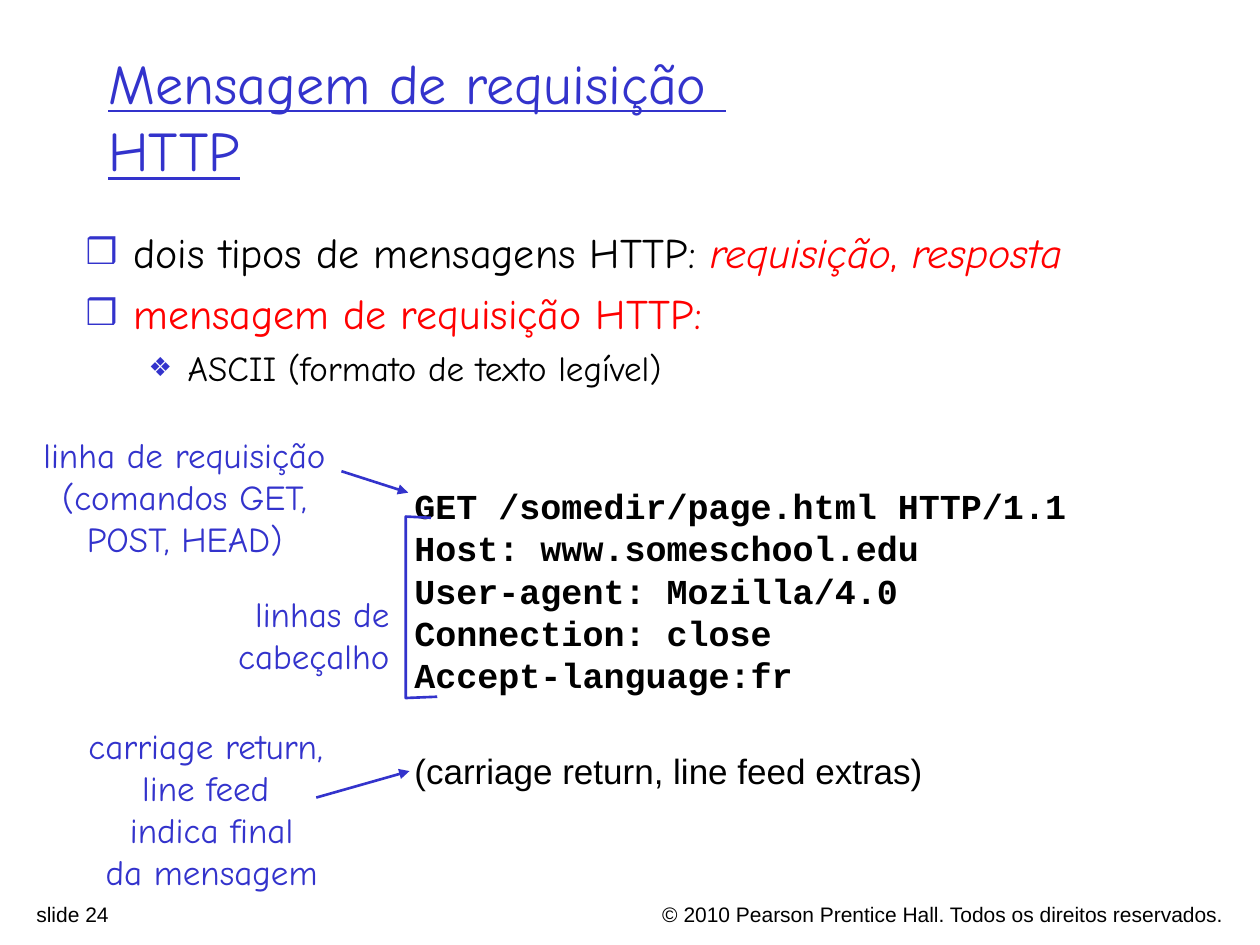
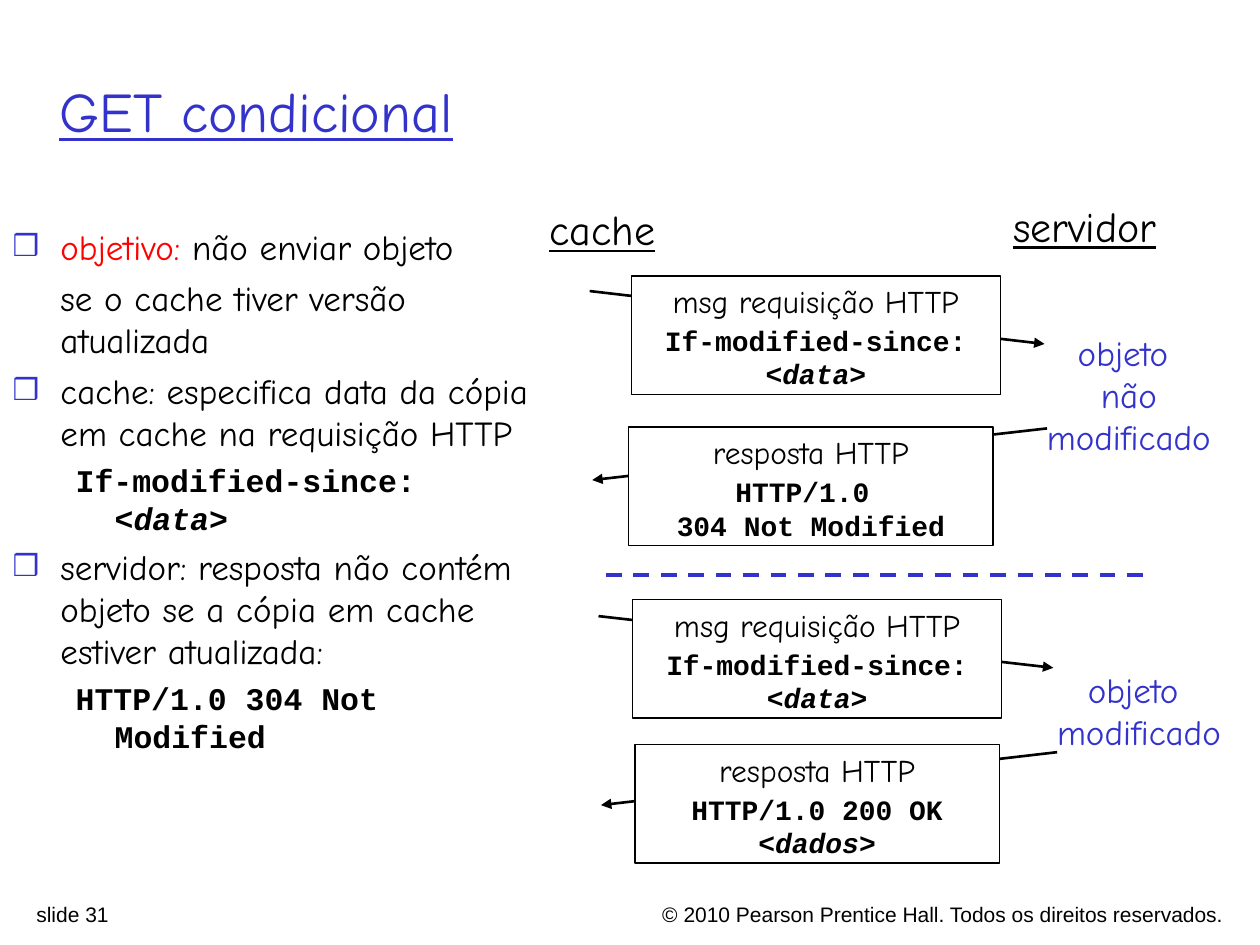
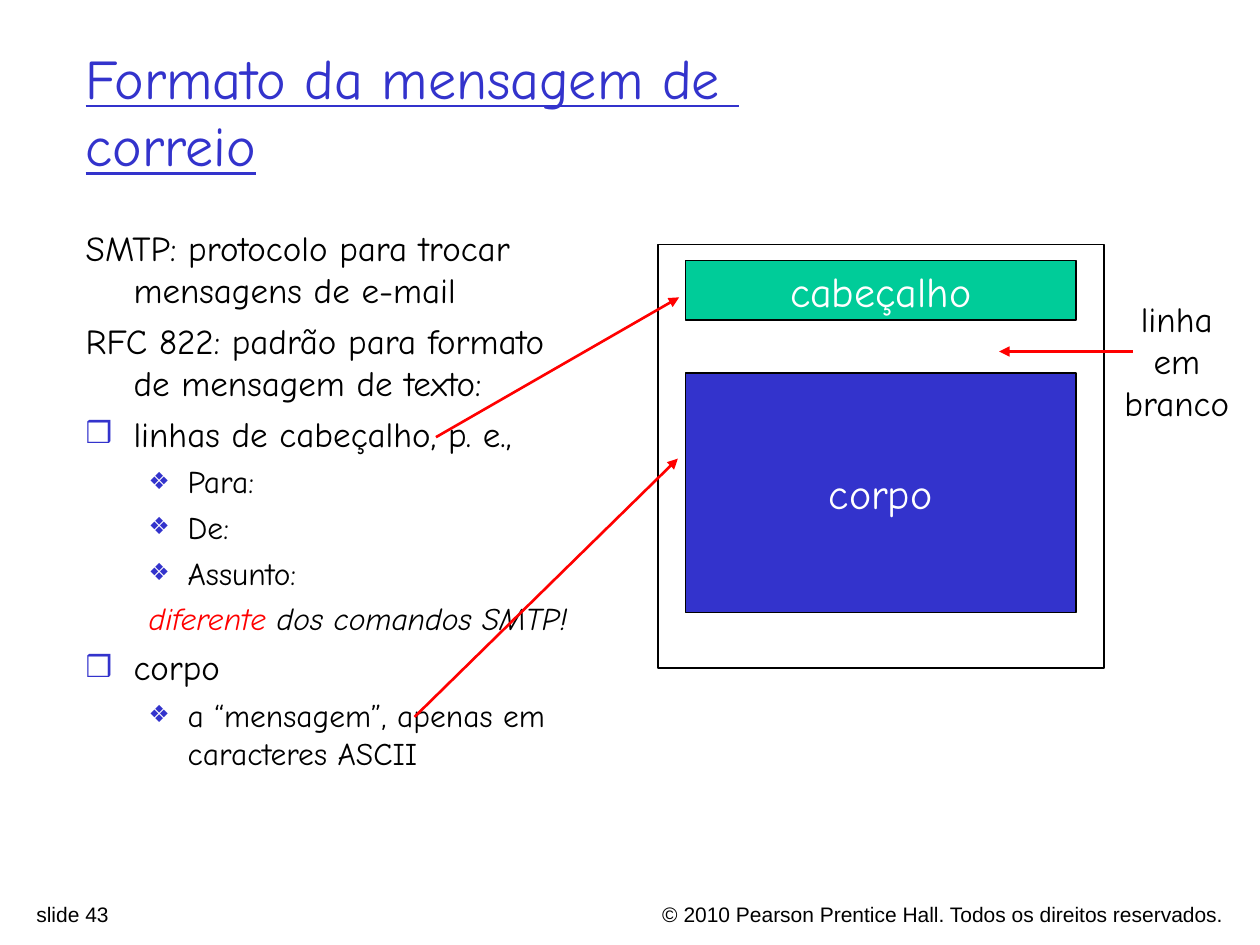
from dataclasses import dataclass
from typing import NamedTuple, Optional

from lxml import etree
from pptx import Presentation
from pptx import util as u
from pptx.dml.color import RGBColor
from pptx.enum import dml, shapes, text
from pptx.oxml import ns

# Shared look: 100 px to the inch
PX = 9144
COLORS = {
    "black": "000000",
    "white": "FFFFFF",
    "blue": "3333CC",
    "red": "FF0000",
    "green": "00CC99",
}
HAND, CODE, PLAIN = "Comic Neue", "Courier New", "Arial"
COPYRIGHT = "© 2010 Pearson Prentice Hall. Todos os direitos reservados."
LEFT, CENTER, RIGHT = text.PP_ALIGN.LEFT, text.PP_ALIGN.CENTER, text.PP_ALIGN.RIGHT


class Span(NamedTuple):
    words: str
    color: Optional[str] = None
    italic: bool = False


class Kind(NamedTuple):
    """Indent and bullet of a body paragraph."""
    level: int
    left: int
    first: int
    bullet: str = ""
    percent: int = 100


ITEM = Kind(0, 38, -38, "❒", 85)
HANGING = Kind(0, 38, -38)
FOLLOWING = Kind(0, 38, 0)
SUBITEM = Kind(1, 81, -31, "❖", 75)
SUBLINE = Kind(1, 81, -31)


@dataclass
class Para:
    spans: list
    size: int = 20
    face: str = HAND
    kind: Optional[Kind] = None
    before: float = 0


class Box(NamedTuple):
    left: int
    top: int
    width: int
    height: int

    def emu(self) -> list:
        return [side * PX for side in self]


class Label(NamedTuple):
    box: Box
    lines: list
    color: str = "blue"
    align: int = CENTER
    size: int = 20
    underline: bool = False


class Arrow(NamedTuple):
    start: tuple
    end: tuple
    color: str


class Panel(NamedTuple):
    box: Box
    paras: list
    fill: Optional[str] = "white"
    color: str = "black"
    anchor: int = text.MSO_ANCHOR.TOP
    weight: float = 0.75


def rgb(name: str) -> RGBColor:
    return RGBColor.from_string(COLORS[name])


# Text
def add_bullet(para, kind: Kind) -> None:
    props = para._p.get_or_add_pPr()
    props.set("marL", str(kind.left * PX))
    props.set("indent", str(kind.first * PX))
    if not kind.bullet:
        etree.SubElement(props, ns.qn("a:buNone"))
        return
    color = etree.SubElement(props, ns.qn("a:buClr"))
    etree.SubElement(color, ns.qn("a:srgbClr")).set("val", COLORS["blue"])
    size = etree.SubElement(props, ns.qn("a:buSzPct"))
    size.set("val", str(kind.percent * 1000))
    etree.SubElement(props, ns.qn("a:buChar")).set("char", kind.bullet)


def write(frame, paras: list, color: str, align: int = LEFT,
          underline: bool = False) -> None:
    for number, source in enumerate(paras):
        para = frame.paragraphs[0] if number == 0 else frame.add_paragraph()
        before = source.before
        if source.kind:
            para.level = source.kind.level
            add_bullet(para, source.kind)
            before = source.size / 4
        para.alignment = align
        para.space_before = u.Pt(before if number else 0)
        if source.face == CODE:
            para.line_spacing = u.Pt(source.size * 1.2)
        for span in source.spans:
            for row, words in enumerate(span.words.split("\n")):
                if row:
                    para.add_line_break()
                run = para.add_run()
                run.text = words
                font = run.font
                font.name, font.size = source.face, u.Pt(source.size)
                font.bold = source.face == CODE
                font.italic, font.underline = span.italic, underline
                font.color.rgb = rgb(span.color or color)


def fit(frame, wrap: bool, anchor: int = text.MSO_ANCHOR.TOP) -> None:
    frame.auto_size = text.MSO_AUTO_SIZE.NONE
    frame.word_wrap = wrap
    frame.vertical_anchor = anchor


def place(holder, box: Box) -> None:
    holder.left, holder.top, holder.width, holder.height = box.emu()


def plain(words: str, size: int = 20, face: str = HAND,
          kind: Optional[Kind] = None, before: float = 0) -> Para:
    return Para([Span(words)], size, face, kind, before)


# Parts of a page
def add_label(page, label: Label) -> None:
    frame = page.shapes.add_textbox(*label.box.emu()).text_frame
    fit(frame, wrap=False)
    paras = [plain(line, label.size) for line in label.lines]
    write(frame, paras, label.color, label.align, label.underline)


def add_panel(page, panel: Panel) -> None:
    shape = page.shapes.add_shape(shapes.MSO_SHAPE.RECTANGLE, *panel.box.emu())
    shape.shadow.inherit = False
    if panel.fill:
        shape.fill.solid()
        shape.fill.fore_color.rgb = rgb(panel.fill)
    else:
        shape.fill.background()
    shape.line.color.rgb = rgb("black")
    shape.line.width = u.Pt(panel.weight)
    fit(shape.text_frame, wrap=True, anchor=panel.anchor)
    write(shape.text_frame, panel.paras, panel.color, CENTER)


def add_line(page, start: tuple, end: tuple, color: str, weight: float = 1.5):
    line = page.shapes.add_connector(
        shapes.MSO_CONNECTOR.STRAIGHT, *(value * PX for value in start + end))
    line.line.color.rgb = rgb(color)
    line.line.width = u.Pt(weight)
    etree.SubElement(line._element.spPr, ns.qn("a:effectLst"))
    return line


def add_arrow(page, arrow: Arrow) -> None:
    line = add_line(page, *arrow)
    head = etree.SubElement(line.line._get_or_add_ln(), ns.qn("a:tailEnd"))
    head.set("type", "triangle")


def add_footer(page, box: Box, words: str, align: int) -> None:
    frame = page.shapes.add_textbox(*box.emu()).text_frame
    fit(frame, wrap=True)
    write(frame, [plain(words, 12, PLAIN)], "black", align)


def add_page(deck, number: int, title: str, title_box: Box,
             body: list, body_box: Box):
    page = deck.slides.add_slide(deck.slide_layouts[1])
    add_footer(page, Box(470, 711, 511, 24), COPYRIGHT, RIGHT)
    add_footer(page, Box(19, 711, 352, 24), f"slide {number}", LEFT)
    heading, content = page.shapes.title, page.placeholders[1]
    place(heading, title_box)
    fit(heading.text_frame, wrap=True, anchor=text.MSO_ANCHOR.MIDDLE)
    write(heading.text_frame, [plain(title, 32)], "blue", underline=True)
    place(content, body_box)
    fit(content.text_frame, wrap=True)
    write(content.text_frame, body, "black")
    return page


# HTTP request message
def request_page(deck) -> None:
    body = [
        Para([Span("dois tipos de mensagens HTTP: "),
              Span("requisição", "red", True), Span(", ", "red"),
              Span("resposta", "red", True)], 24, kind=ITEM),
        Para([Span("mensagem de requisição HTTP:", "red")], 24, kind=ITEM),
        plain("ASCII (formato de texto legível)", kind=SUBITEM),
    ]
    page = add_page(deck, 24, "Mensagem de requisição \nHTTP",
                    Box(76, 29, 850, 125), body, Box(58, 175, 907, 145))

    message = ["GET /somedir/page.html HTTP/1.1", "Host: www.someschool.edu",
               "User-agent: Mozilla/4.0", "Connection: close",
               "Accept-language:fr"]
    paras = [plain(line, face=CODE) for line in message]
    paras.append(plain("(carriage return, line feed extras)",
                       face=PLAIN, before=31))
    frame = page.shapes.add_textbox(*Box(319, 380, 538, 254).emu()).text_frame
    fit(frame, wrap=False)
    write(frame, paras, "black")

    for label in (
        Label(Box(24, 339, 245, 110),
              ["linha de requisição", "(comandos GET,\nPOST, HEAD)"]),
        Label(Box(179, 465, 140, 77), ["linhas de", "cabeçalho"], align=RIGHT),
        Label(Box(60, 570, 216, 144),
              ["carriage return, ", "line feed ", "indica final\nda mensagem"]),
    ):
        add_label(page, label)
    add_arrow(page, Arrow((271, 374), (324, 391), "blue"))
    add_arrow(page, Arrow((251, 633), (325, 612), "blue"))

    # Bracket around the header lines
    outline = page.shapes.build_freeform(342, 411, scale=PX)
    outline.add_line_segments([(322, 410), (322, 554), (347, 553)], close=False)
    bracket = outline.convert_to_shape()
    bracket.shadow.inherit = False
    bracket.fill.background()
    bracket.line.color.rgb = rgb("blue")
    bracket.line.width = u.Pt(1.5)


# Conditional GET
def conditional_page(deck) -> None:
    since = [Span("If-modified-since: <"), Span("data", italic=True), Span(">")]
    body = [
        Para([Span("objetivo:", "red"), Span(" não enviar objeto")], kind=ITEM),
        plain("se o cache tiver versão atualizada", kind=FOLLOWING),
        plain("cache: especifica data da cópia em cache na requisição HTTP",
              kind=ITEM),
        Para(since, 18, CODE, SUBLINE),
        plain("servidor: resposta não contém objeto se a cópia em cache "
              "estiver atualizada:", kind=ITEM),
        plain("HTTP/1.0 304 Not Modified", 18, CODE, SUBLINE),
    ]
    page = add_page(deck, 31, "GET condicional", Box(37, 25, 871, 125),
                    body, Box(0, 174, 442, 471))

    request = [plain("msg requisição HTTP", 18),
               Para(since, 16, CODE, before=2)]
    unchanged = [plain("resposta HTTP", 18),
                 plain("HTTP/1.0 ", 16, CODE, before=2),
                 plain("304 Not Modified", 16, CODE)]
    changed = [plain("resposta HTTP", 18),
               plain("HTTP/1.0 200 OK", 16, CODE, before=2),
               Para([Span("<"), Span("dados", italic=True), Span(">")],
                    16, CODE)]
    exchanges = [
        (Arrow((468, 231), (829, 273), "black"),
         Panel(Box(501, 219, 293, 94), request)),
        (Arrow((831, 340), (470, 381), "black"),
         Panel(Box(499, 339, 289, 94), unchanged)),
        (Arrow((475, 489), (836, 530), "black"),
         Panel(Box(502, 476, 293, 94), request)),
        (Arrow((839, 597), (477, 639), "black"),
         Panel(Box(504, 591, 289, 94), changed)),
    ]
    for arrow, panel in exchanges:
        add_arrow(page, arrow)
        add_panel(page, panel)

    divider = add_line(page, (481, 456), (908, 456), "blue", 2.25)
    divider.line.dash_style = dml.MSO_LINE.DASH
    for label in (
        Label(Box(426, 157, 104, 50), ["cache"], "black", CENTER, 24, True),
        Label(Box(794, 154, 134, 50), ["servidor"], "black", CENTER, 24, True),
        Label(Box(821, 258, 150, 110), ["objeto ", "não", "modificado"]),
        Label(Box(829, 526, 150, 77), ["objeto ", "modificado"]),
    ):
        add_label(page, label)


# Mail message format
def mail_page(deck) -> None:
    body = [
        plain("SMTP: protocolo para trocar mensagens de e-mail", kind=HANGING),
        plain("RFC 822: padrão para formato de mensagem de texto:",
              kind=HANGING),
        plain("linhas de cabeçalho, p. e.,", kind=ITEM),
        *(plain(field, 18, kind=SUBITEM)
          for field in ("Para:", "De:", "Assunto:")),
        Para([Span("diferente ", "red", True),
              Span("dos comandos SMTP!", italic=True)], 18, kind=SUBLINE),
        plain("corpo", kind=ITEM),
        plain("a “mensagem”, apenas em caracteres ASCII", 18, kind=SUBITEM),
    ]
    page = add_page(deck, 43, "Formato da mensagem de \ncorreio",
                    Box(58, 25, 850, 125), body, Box(58, 175, 417, 508))

    middle = text.MSO_ANCHOR.MIDDLE
    for panel in (
        Panel(Box(544, 207, 310, 47), [plain("cabeçalho", 24)],
              "green", "white", middle),
        Panel(Box(544, 296, 310, 190), [plain("corpo", 24)],
              "blue", "white", middle),
        Panel(Box(522, 194, 354, 336), [], fill=None, weight=1),
    ):
        add_panel(page, panel)
    add_label(page, Label(Box(882, 231, 104, 110), ["linha\nem\nbranco"],
                          "black"))
    for start, end in (((346, 347), (539, 236)), ((329, 569), (538, 364)),
                       ((899, 279), (793, 279))):
        add_arrow(page, Arrow(start, end, "red"))


def main() -> None:
    deck = Presentation()
    deck.slide_width, deck.slide_height = 1000 * PX, 750 * PX
    request_page(deck)
    conditional_page(deck)
    mail_page(deck)
    deck.save("out.pptx")


if __name__ == "__main__":
    main()
